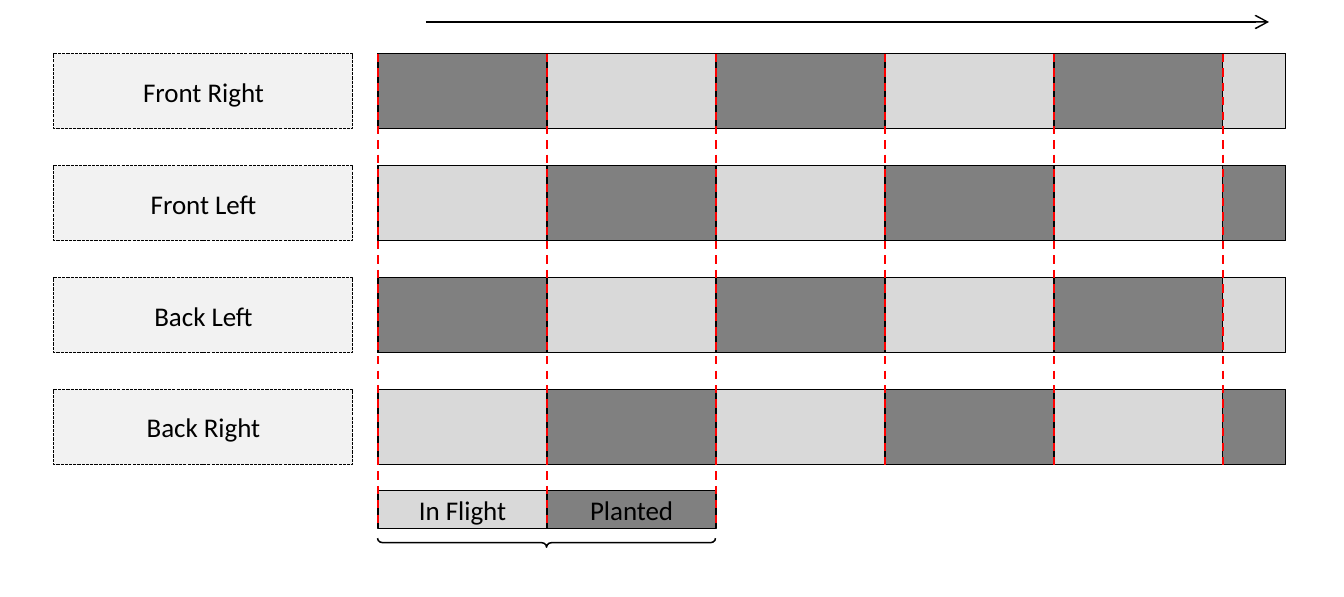
from dataclasses import dataclass
from typing import Any, Optional

import pptx
import pptx.dml.color
import pptx.enum.dml
import pptx.enum.shapes
import pptx.enum.text
import pptx.oxml.ns
import pptx.oxml.xmlchemy
import pptx.util

SHAPE = pptx.enum.shapes.MSO_SHAPE
DASH = pptx.enum.dml.MSO_LINE_DASH_STYLE
EMU_PER_PIXEL = 914400 * 9 / 1344


@dataclass(frozen=True)
class Theme:
    font: str = "Calibri"
    text_size: float = 13
    ink: str = "000000"
    label_fill: str = "F2F2F2"
    in_flight: str = "D9D9D9"
    planted: str = "808080"
    event: str = "FF0000"
    thin: float = 0.5
    medium: float = 0.75
    thick: float = 1


THEME = Theme()


@dataclass(frozen=True)
class Box:
    left: int
    top: int
    width: int
    height: int
    fill: Optional[str] = None
    text: str = ""
    dash: Optional[Any] = None
    weight: float = THEME.thin
    kind: Any = SHAPE.RECTANGLE


@dataclass(frozen=True)
class Rule:
    start: tuple[int, int]
    end: tuple[int, int]
    color: str
    weight: float
    dash: Optional[Any] = None
    arrow: bool = False


def px(pixels: float) -> pptx.util.Emu:
    return pptx.util.Emu(round(pixels * EMU_PER_PIXEL))


def rgb(color: str) -> pptx.dml.color.RGBColor:
    return pptx.dml.color.RGBColor.from_string(color)


def apply(target: Any, values: dict[str, Any]) -> None:
    for attribute, value in values.items():
        setattr(target, attribute, value)


def style_line(line: Any, color: str, weight: float, dash: Optional[Any]) -> None:
    line.fill.solid()
    line.fill.fore_color.rgb = rgb(color)
    apply(line, {"width": pptx.util.Pt(weight), "dash_style": dash})


def write_text(shape: Any, text: str) -> None:
    frame = shape.text_frame
    apply(frame, {"word_wrap": True,
                  "vertical_anchor": pptx.enum.text.MSO_ANCHOR.MIDDLE})
    paragraph = frame.paragraphs[0]
    apply(paragraph, {"text": text, "alignment": pptx.enum.text.PP_ALIGN.CENTER})
    apply(paragraph.font, {"name": THEME.font, "size": pptx.util.Pt(THEME.text_size)})
    paragraph.font.color.rgb = rgb(THEME.ink)


def draw_box(shapes: Any, box: Box) -> Any:
    shape = shapes.add_shape(box.kind, px(box.left), px(box.top),
                             px(box.width), px(box.height))
    shape.shadow.inherit = False
    if box.fill:
        shape.fill.solid()
        shape.fill.fore_color.rgb = rgb(box.fill)
    else:
        shape.fill.background()
    style_line(shape.line, THEME.ink, box.weight, box.dash)
    if box.text:
        write_text(shape, box.text)
    return shape


def draw_group(shapes: Any, boxes: list[Box]) -> None:
    group = shapes.add_group_shape()
    for box in boxes:
        draw_box(group.shapes, box)


def draw_rule(shapes: Any, rule: Rule) -> None:
    connector = shapes.add_connector(pptx.enum.shapes.MSO_CONNECTOR.STRAIGHT,
                                     *map(px, rule.start + rule.end))
    style_line(connector.line, rule.color, rule.weight, rule.dash)
    properties = connector.element.find(pptx.oxml.ns.qn("p:spPr"))
    if rule.arrow:
        tail = pptx.oxml.xmlchemy.OxmlElement("a:tailEnd")
        tail.set("type", "arrow")
        properties.find(pptx.oxml.ns.qn("a:ln")).append(tail)
    properties.append(pptx.oxml.xmlchemy.OxmlElement("a:effectLst"))


# Gait timing grid
LEGS = ["Front Right", "Front Left", "Back Left", "Back Right"]
STARTS_PLANTED = [True, False, True, False]
ROW_HEIGHT = 75
ROW_TOPS = [54 + 112 * row for row in range(len(LEGS))]
TRACK_LEFT, TRACK_RIGHT, PHASE_WIDTH = 378, 1286, 169
PHASE_LEFTS = list(range(TRACK_LEFT, TRACK_RIGHT, PHASE_WIDTH))
PHASES_PER_STRIDE = 2
LEGEND_TOP, LEGEND_HEIGHT = 491, 38


def phase_box(row: int, phase: int) -> Box:
    left = PHASE_LEFTS[phase]
    is_planted = STARTS_PLANTED[row] == (phase % 2 == 0)
    return Box(left, ROW_TOPS[row], min(PHASE_WIDTH, TRACK_RIGHT - left), ROW_HEIGHT,
               THEME.planted if is_planted else THEME.in_flight)


presentation = pptx.Presentation()
apply(presentation, {"slide_width": px(1344), "slide_height": pptx.util.Inches(4)})
slide = presentation.slides.add_slide(presentation.slide_layouts[6])
shapes = slide.shapes

# Leg names and track outlines
draw_group(shapes, [Box(54, top, 299, ROW_HEIGHT, THEME.label_fill, leg,
                        DASH.SQUARE_DOT)
                    for leg, top in zip(LEGS, ROW_TOPS)])
draw_group(shapes, [Box(TRACK_LEFT, top, TRACK_RIGHT - TRACK_LEFT, ROW_HEIGHT)
                    for top in ROW_TOPS])

# Alternating phases, one group per stride
for first in range(0, len(PHASE_LEFTS), PHASES_PER_STRIDE):
    draw_group(shapes, [phase_box(row, phase) for row in range(len(LEGS))
                        for phase in range(first, first + PHASES_PER_STRIDE)])

# Legend under the first stride
legend = [("In Flight", THEME.in_flight), ("Planted", THEME.planted)]
for left, (state, color) in zip(PHASE_LEFTS, legend):
    draw_box(shapes, Box(left, LEGEND_TOP, PHASE_WIDTH, LEGEND_HEIGHT, color, state))

# Phase changes, with those of the first stride reaching the legend
for phase, left in enumerate(PHASE_LEFTS):
    bottom = (LEGEND_TOP + LEGEND_HEIGHT if phase <= PHASES_PER_STRIDE
              else ROW_TOPS[-1] + ROW_HEIGHT)
    draw_rule(shapes, Rule((left, ROW_TOPS[0]), (left, bottom), THEME.event,
                           THEME.thick, DASH.DASH))

# Time arrow
draw_rule(shapes, Rule((426, 22), (1269, 22), THEME.ink, THEME.medium, arrow=True))

# Stride brace, turned to open upwards
stride_width, brace_depth, brace_middle = PHASES_PER_STRIDE * PHASE_WIDTH, 9, 543
brace = draw_box(shapes, Box(TRACK_LEFT + (stride_width - brace_depth) // 2,
                             brace_middle - stride_width // 2,
                             brace_depth, stride_width,
                             weight=THEME.medium, kind=SHAPE.RIGHT_BRACE))
brace.rotation = 90
for index, share in enumerate([0.56, 0.5]):
    brace.adjustments[index] = share

presentation.save("out.pptx")
